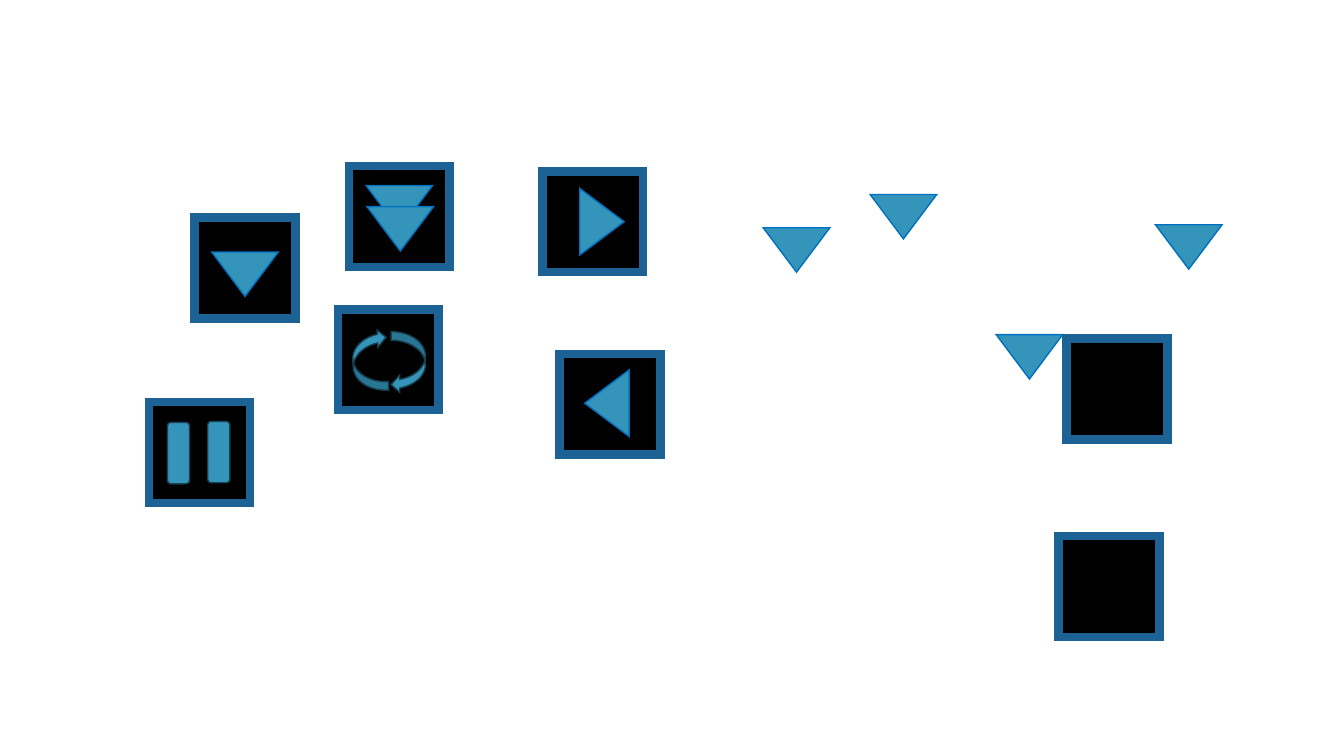
from lxml import etree
from pptx import Presentation
from pptx.dml.color import RGBColor
from pptx.enum.shapes import MSO_SHAPE as SHAPE
from pptx.oxml.ns import qn
from pptx.util import Inches, Pt

BLACK = RGBColor(0x00, 0x00, 0x00)
FRAME_BLUE = RGBColor(0x1D, 0x62, 0x94)
ICON_BLUE = RGBColor(0x34, 0x94, 0xBA)
EDGE_BLUE = RGBColor(0x00, 0x70, 0xC0)
EDGE_DARK = RGBColor(0x17, 0x41, 0x52)

BUTTON_SIZE = 1
TRIANGLE_SIZE = (0.66, 0.44)
ARROW_SIZE = (0.34, 0.61)
BAR_SIZE = (0.22, 0.61)


def add_figure(shapes, kind, left, top, size, fill, edge, edge_width=1, rotation=0):
    width, height = size
    shape = shapes.add_shape(kind, Inches(left), Inches(top), Inches(width), Inches(height))
    shape.rotation = rotation
    shape.shadow.inherit = False
    shape.fill.solid()
    shape.fill.fore_color.rgb = fill
    shape.line.color.rgb = edge
    shape.line.width = Pt(edge_width)
    line = shape.line._get_or_add_ln()
    etree.SubElement(line, qn("a:miter"), lim="800000")
    return shape


def add_button(shapes, left, top):
    add_figure(shapes, SHAPE.RECTANGLE, left, top, (BUTTON_SIZE, BUTTON_SIZE),
               BLACK, FRAME_BLUE, edge_width=6)


def add_triangle(shapes, left, top, rotation=180):
    add_figure(shapes, SHAPE.ISOSCELES_TRIANGLE, left, top, TRIANGLE_SIZE,
               ICON_BLUE, EDGE_BLUE, rotation=rotation)


def add_arrow(shapes, left, top, rotation=0):
    add_figure(shapes, SHAPE.CURVED_LEFT_ARROW, left, top, ARROW_SIZE,
               ICON_BLUE, EDGE_DARK, rotation=rotation)


def add_bar(shapes, left, top):
    add_figure(shapes, SHAPE.ROUNDED_RECTANGLE, left, top, BAR_SIZE, ICON_BLUE, EDGE_DARK)


def add_icon_button(slide, left, top, add_symbol, placements):
    """Group a button with its symbols; placements are offsets and an optional rotation."""
    shapes = slide.shapes.add_group_shape().shapes
    add_button(shapes, left, top)
    for x, y, *rotation in placements:
        add_symbol(shapes, left + x, top + y, *rotation)


def add_control_buttons(slide):
    controls = [
        (1.93, 2.16, add_triangle, [(0.17, 0.34)]),
        (3.46, 1.65, add_triangle, [(0.17, 0.19), (0.18, 0.4)]),
        (3.35, 3.07, add_arrow, [(0.53, 0.22), (0.15, 0.2, 177)]),
        (5.38, 1.7, add_triangle, [(0.26, 0.28, 90)]),
        (5.55, 3.51, add_triangle, [(0.14, 0.27, 270)]),
        (1.48, 3.99, add_bar, [(0.18, 0.2), (0.58, 0.19)]),
    ]
    for control in controls:
        add_icon_button(slide, *control)


def add_spare_parts(slide):
    for left, top in [(11.46, 2.23), (8.63, 1.93), (7.57, 2.26), (9.88, 3.32)]:
        add_triangle(slide.shapes, left, top)
    for left, top in [(10.58, 3.36), (10.5, 5.32)]:
        add_button(slide.shapes, left, top)


def main():
    presentation = Presentation()
    presentation.slide_width = Inches(13.33)
    presentation.slide_height = Inches(7.5)
    blank_layout = presentation.slide_layouts[6]
    slide = presentation.slides.add_slide(blank_layout)
    add_control_buttons(slide)
    add_spare_parts(slide)
    presentation.save("out.pptx")


if __name__ == "__main__":
    main()
